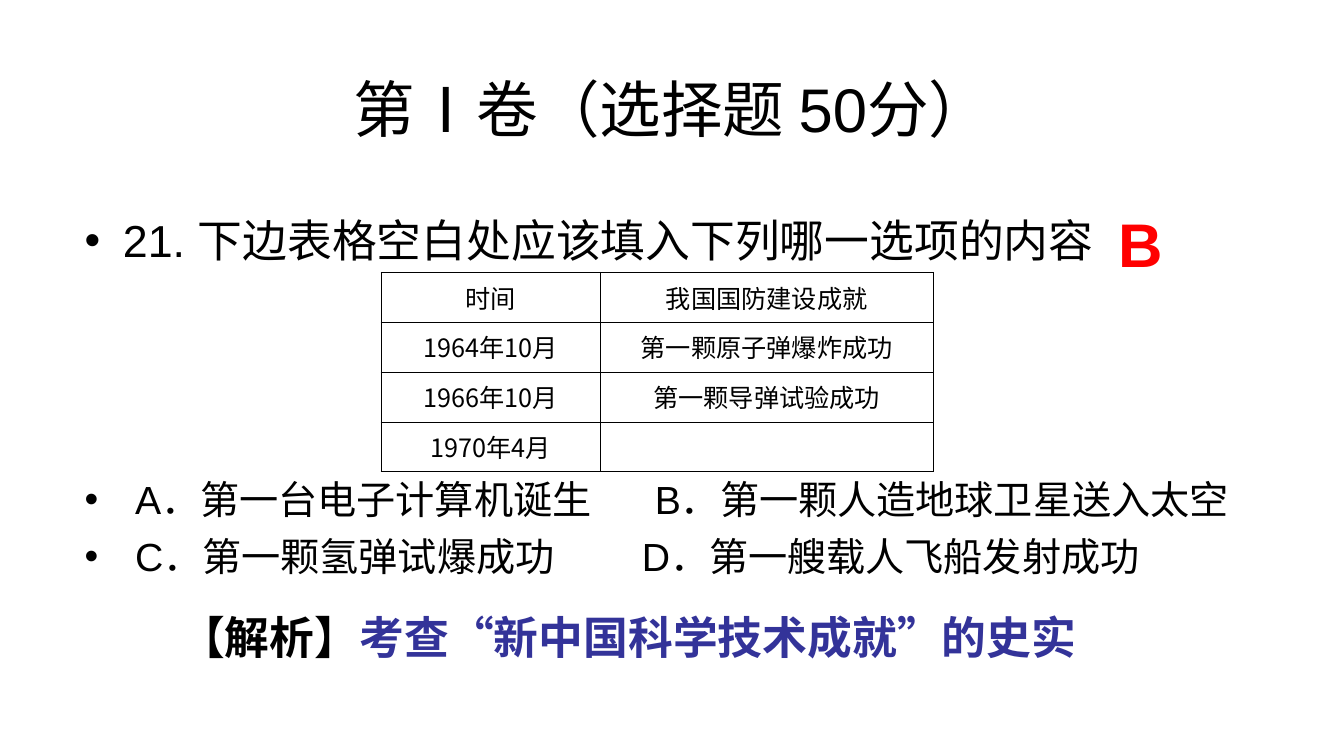
from lxml import etree
from pptx import Presentation
from pptx.dml.color import RGBColor
from pptx.enum.text import MSO_ANCHOR, MSO_AUTO_SIZE, PP_ALIGN
from pptx.oxml.ns import qn
from pptx.util import Inches, Pt

CENTER = PP_ALIGN.CENTER
MIDDLE = MSO_ANCHOR.MIDDLE
NO_AUTOFIT = MSO_AUTO_SIZE.NONE
LATIN, CJK = "Arial", "Noto Sans CJK SC"
BLACK, RED, BLUE = "000000", "FF0000", "333399"

QUESTION = "21. 下边表格空白处应该填入下列哪一选项的内容"
# Text, space before in points, tab stop in inches
OPTIONS = [
    ("A．第一台电子计算机诞生\tB．第一颗人造地球卫星送入太空", 149.5, 5.66),
    ("C．第一颗氢弹试爆成功\tD．第一艘载人飞船发射成功", 7, 5.53),
]
ACHIEVEMENTS = [
    ("时间", "我国国防建设成就"),
    ("1964年10月", "第一颗原子弹爆炸成功"),
    ("1966年10月", "第一颗导弹试验成功"),
    ("1970年4月", ""),
]


def rgb(hex_color):
    return RGBColor.from_string(hex_color)


def format_run(run, size, color=BLACK, latin=LATIN, bold=False):
    run.font.size = Pt(size)
    run.font.bold = bold
    run.font.color.rgb = rgb(color)
    run.font.name = latin
    east_asian = etree.Element(qn("a:ea"), typeface=CJK)
    run.font._element.find(qn("a:latin")).addnext(east_asian)


def place(shape, left, top, width, height):
    shape.left, shape.top = Inches(left), Inches(top)
    shape.width, shape.height = Inches(width), Inches(height)


def set_hanging_indent(paragraph, indent, tab_stop=None):
    properties = paragraph._p.get_or_add_pPr()
    properties.set("marL", str(Inches(indent)))
    properties.set("indent", str(-Inches(indent)))
    if tab_stop:
        tabs = etree.SubElement(properties, qn("a:tabLst"))
        etree.SubElement(tabs, qn("a:tab"), pos=str(Inches(tab_stop)), algn="l")


def fill_title(title):
    place(title, 0.67, 0.59, 12, 0.96)
    frame = title.text_frame
    frame.text = "第Ⅰ卷（选择题 50分）"
    frame.vertical_anchor = MIDDLE
    frame.auto_size = NO_AUTOFIT
    frame.paragraphs[0].alignment = CENTER
    format_run(frame.paragraphs[0].runs[0], 44)


def fill_question(body):
    place(body, 0.74, 2.06, 11.86, 3.98)
    frame = body.text_frame
    frame.auto_size = NO_AUTOFIT
    frame.text = QUESTION
    stem = frame.paragraphs[0]
    set_hanging_indent(stem, 0.38)
    stem.space_before = Pt(0)
    format_run(stem.runs[0], 32)
    for text, gap, tab_stop in OPTIONS:
        option = frame.add_paragraph()
        option.text = text
        set_hanging_indent(option, 0.5, tab_stop)
        option.space_before = Pt(gap)
        for run in option.runs:
            format_run(run, 28)


def add_label(slide, box, parts, size, latin):
    """Add a bold one-line text box from (text, colour) parts."""
    label = slide.shapes.add_textbox(*map(Inches, box))
    label.text_frame.word_wrap = True
    for text, color in parts:
        run = label.text_frame.paragraphs[0].add_run()
        run.text = text
        format_run(run, size, color, latin, bold=True)


def set_borders(cell, color, width):
    properties = cell._tc.get_or_add_tcPr()
    for index, side in enumerate(("lnL", "lnR", "lnT", "lnB")):
        line = etree.Element(qn(f"a:{side}"), w=str(Pt(width)))
        fill = etree.SubElement(line, qn("a:solidFill"))
        etree.SubElement(fill, qn("a:srgbClr"), val=color)
        properties.insert(index, line)


def add_achievement_table(slide):
    frame = slide.shapes.add_table(
        len(ACHIEVEMENTS), 2, Inches(3.78), Inches(2.7), Inches(5.48), Inches(1.98))
    table = frame.table
    table.first_row = table.horz_banding = False
    for column, width in zip(table.columns, (2.18, 3.3)):
        column.width = Inches(width)
    for row, texts in zip(table.rows, ACHIEVEMENTS):
        for cell, text in zip(row.cells, texts):
            cell.text = text
            cell.vertical_anchor = MIDDLE
            cell.margin_left = cell.margin_right = Inches(0.08)
            cell.fill.background()
            set_borders(cell, BLACK, 0.45)
            paragraph = cell.text_frame.paragraphs[0]
            paragraph.alignment = CENTER
            for run in paragraph.runs:
                format_run(run, 18, latin=CJK)


def main():
    presentation = Presentation()
    presentation.slide_width = Inches(13.34)
    presentation.slide_height = Inches(7.5)
    slide = presentation.slides.add_slide(presentation.slide_layouts[1])
    fill_title(slide.shapes.title)
    fill_question(slide.placeholders[1])
    add_label(slide, (1.69, 6, 10.91, 0.64),
              [("【解析】", BLACK), ("考查“新中国科学技术成就”的史实", BLUE)], 32, CJK)
    add_label(slide, (11, 1.99, 0.85, 0.84), [("B", RED)], 44, LATIN)
    add_achievement_table(slide)
    presentation.save("out.pptx")


if __name__ == "__main__":
    main()
